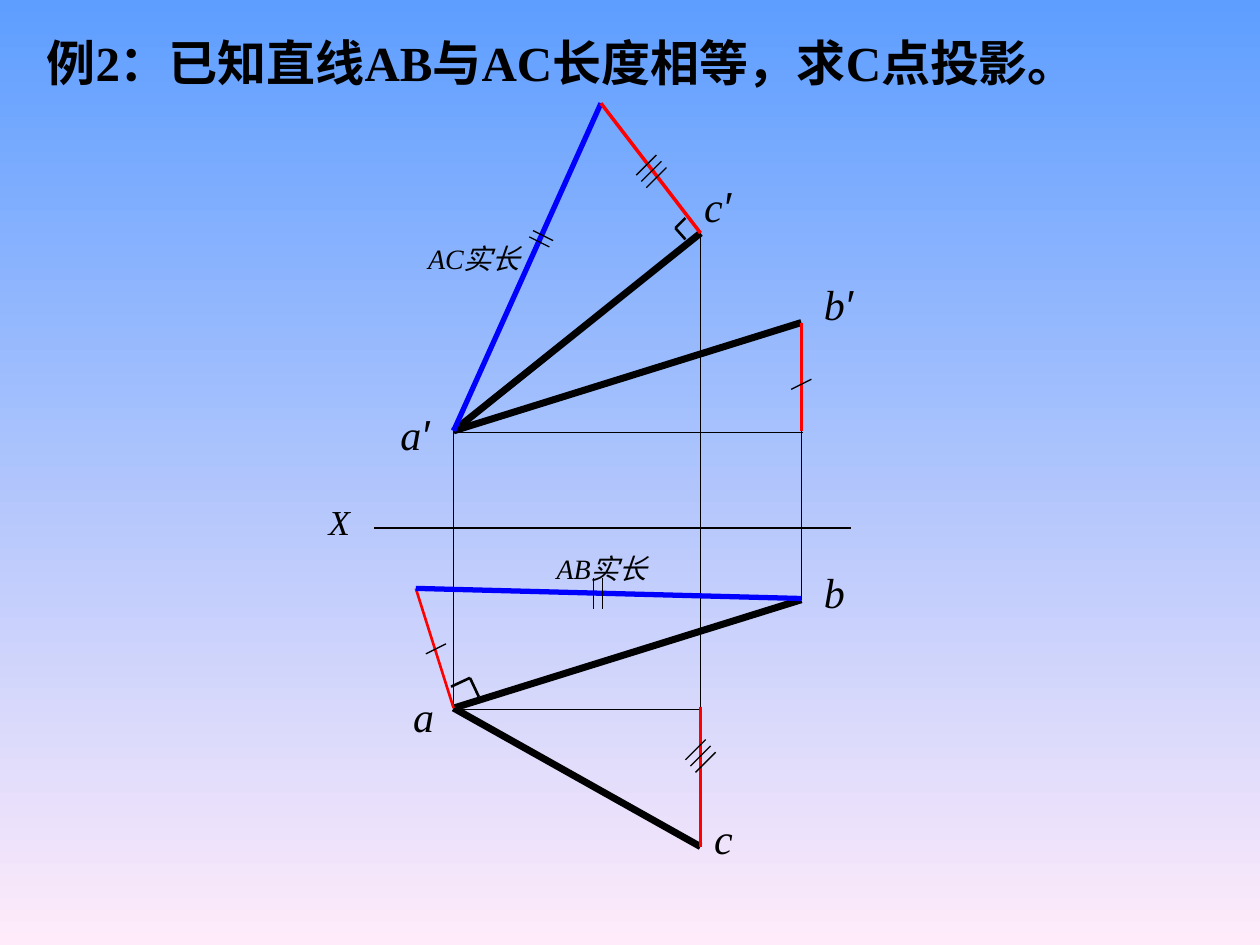
from pptx import Presentation
from pptx.dml.color import RGBColor
from pptx.enum.shapes import MSO_CONNECTOR
from pptx.enum.text import MSO_ANCHOR, MSO_AUTO_SIZE, PP_ALIGN
from pptx.oxml.ns import qn
from pptx.util import Inches, Pt
from lxml.etree import SubElement

COLORS = {
    "ink": "000000", "true length": "0000FF", "difference": "FF0000",
    "sky": "5E9EFF", "blush": "FFEBFA",
}
SERIF, PRIME_FONT = "Times New Roman", "Arial"

prs = Presentation()
prs.slide_width, prs.slide_height = Inches(10), Inches(7.5)
COL, ROW = prs.slide_width / 10, prs.slide_height / 7.5
slide = prs.slides.add_slide(prs.slide_layouts[5])


def draw_segment(start, end, color="ink", width=0.75):
    ends = [round(v * unit) for point in (start, end)
            for v, unit in zip(point, (COL, ROW))]
    segment = slide.shapes.add_connector(MSO_CONNECTOR.STRAIGHT, *ends)
    segment.line.color.rgb = RGBColor.from_string(COLORS[color])
    segment.line.width = Pt(width)
    SubElement(segment._element.spPr, qn("a:effectLst"))


def write_run(paragraph, text, **font_format):
    run = paragraph.add_run()
    run.text = text
    for key, value in font_format.items():
        setattr(run.font, key, value)
    run.font.color.rgb = RGBColor.from_string(COLORS["ink"])


# Background
background = slide.background.fill
background.gradient()
background.gradient_angle = 270
for stop, position, color in zip(background.gradient_stops, (0, 1), ("sky", "blush")):
    stop.position = position
    stop.color.rgb = RGBColor.from_string(COLORS[color])

# Problem statement
problem = slide.shapes.title
for key, value in {"left": 0.27 * COL, "top": 0.21 * ROW,
                   "width": 8.82 * COL, "height": 0.44 * ROW}.items():
    setattr(problem, key, round(value))
frame = problem.text_frame
for key, value in {"word_wrap": True, "auto_size": MSO_AUTO_SIZE.NONE,
                   "vertical_anchor": MSO_ANCHOR.TOP}.items():
    setattr(frame, key, value)
statement = frame.paragraphs[0]
statement.alignment = PP_ALIGN.LEFT
hanging = statement._p.get_or_add_pPr()
hanging.set("marL", str(Inches(0.38)))
hanging.set("indent", str(-Inches(0.38)))
write_run(statement, "例2：已知直线AB与AC长度相等，求C点投影。",
          name=SERIF, size=Pt(28), bold=True)

# Projections of A, B and C: front view on top, top view below the X axis
a_front, b_front, c_front = (3.6, 3.42), (6.36, 2.56), (5.56, 1.85)
a_top, b_top, c_top = (3.6, 5.62), (6.36, 4.76), (5.56, 6.72)
ac_apex, ab_apex = (4.77, 0.82), (3.3, 4.67)

# X axis, projection lines and level lines
for start, end in (
    ((2.97, 4.19), (6.75, 4.19)),
    (a_front, a_top), (b_front, b_top), (c_front, c_top),
    ((3.62, 3.43), (6.37, 3.43)), ((3.66, 5.63), (5.55, 5.63)),
):
    draw_segment(start, end)

# Projections of AB and AC
for start, end in ((a_front, b_front), (a_front, c_front),
                   (a_top, b_top), (a_top, c_top)):
    draw_segment(start, end, width=4)

# Coordinate differences and true lengths
for start, end, color, width in (
    (b_front, (6.36, 3.42), "difference", 1.5),
    (ab_apex, a_top, "difference", 1.5),
    (a_front, ac_apex, "true length", 3),
    (ab_apex, (6.36, 4.75), "true length", 3),
    ((5.56, 5.61), c_top, "difference", 2),
    (c_front, ac_apex, "difference", 2),
):
    draw_segment(start, end, color, width)

# Right-angle marks
for start, corner, end in (
    ((5.44, 1.73), (5.36, 1.81), (5.44, 1.9)),
    ((3.58, 5.45), (3.73, 5.38), (3.8, 5.53)),
):
    draw_segment(start, corner, width=1.5)
    draw_segment(corner, end, width=1.5)

# Equal-length ticks: first centre, half length, step, count
for (x, y), (dx, dy), (step_x, step_y), count in (
    ((6.36, 3.05), (0.08, -0.04), (0, 0), 1),
    ((3.46, 5.15), (0.08, -0.04), (0, 0), 1),
    ((4.71, 4.71), (0, 0.12), (0.07, 0), 2),
    ((4.31, 1.87), (0.08, 0.04), (-0.03, 0.05), 2),
    ((5.13, 1.31), (0.08, -0.08), (0.04, 0.05), 3),
    ((5.52, 5.95), (0.08, -0.08), (0.04, 0.05), 3),
):
    for i in range(count):
        cx, cy = x + i * step_x, y + i * step_y
        draw_segment((cx - dx, cy - dy), (cx + dx, cy + dy))

# Labels: text, left, top, width, height, size
for text, left, top, width, height, size in (
    ("X", 2.51, 3.92, 0.48, 0.44, 20),
    ("a′", 3.08, 3.19, 0.61, 0.5, 24),
    ("b′", 6.44, 2.16, 0.61, 0.5, 24),
    ("c′", 5.49, 1.38, 0.61, 0.5, 24),
    ("a", 3.18, 5.43, 0.51, 0.5, 24),
    ("b", 6.44, 4.45, 0.61, 0.5, 24),
    ("c", 5.57, 6.4, 0.61, 0.5, 24),
    ("AB实长", 4.32, 4.33, 1.18, 0.37, 16),
    ("AC实长", 3.3, 1.87, 1.02, 0.37, 16),
):
    label = slide.shapes.add_textbox(round(left * COL), round(top * ROW),
                                     round(width * COL), round(height * ROW))
    label.text_frame.word_wrap = True
    paragraph = label.text_frame.paragraphs[0]
    point = text.rstrip("′")
    write_run(paragraph, point, name=SERIF, size=Pt(size), italic=True)
    if point != text:
        write_run(paragraph, "′", name=PRIME_FONT, size=Pt(size), italic=True)

prs.save("out.pptx")
